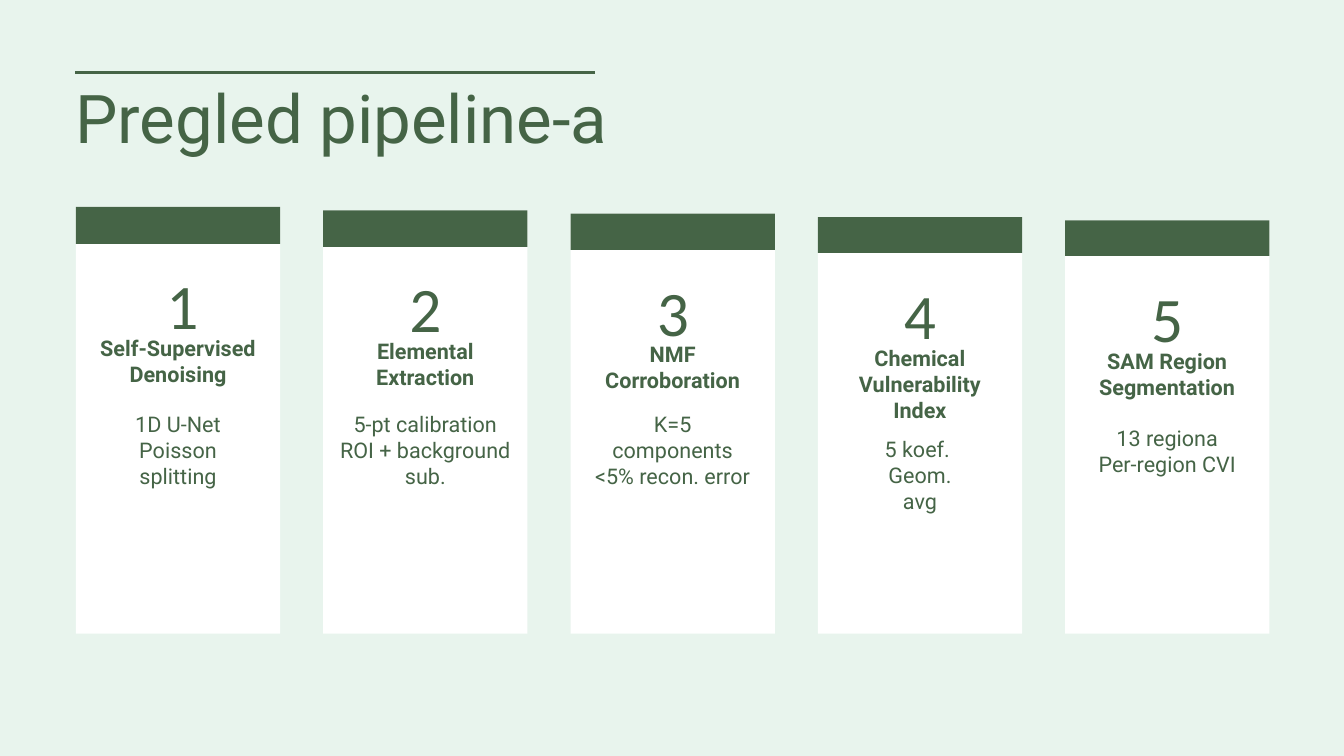
from dataclasses import dataclass

from pptx import Presentation
from pptx.dml.color import RGBColor
from pptx.enum.shapes import MSO_CONNECTOR, MSO_SHAPE
from pptx.enum.text import MSO_AUTO_SIZE, PP_ALIGN
from pptx.oxml.ns import qn
from pptx.util import Inches, Pt
from lxml.etree import SubElement


@dataclass(frozen=True)
class TextStyle:
    font: str
    size: float
    line: float
    bold: bool = False
    align: PP_ALIGN = PP_ALIGN.CENTER


@dataclass(frozen=True)
class Theme:
    background: RGBColor = RGBColor.from_string("E8F4ED")
    green: RGBColor = RGBColor.from_string("456446")
    white: RGBColor = RGBColor.from_string("FFFFFF")
    heading: TextStyle = TextStyle("Roboto", 72, 86.4, align=PP_ALIGN.LEFT)
    number: TextStyle = TextStyle("Calibri", 67.9, 95.1)
    step: TextStyle = TextStyle("Roboto", 23.1, 27.8, bold=True)
    detail: TextStyle = TextStyle("Roboto", 23.1, 27.8)


@dataclass(frozen=True)
class Step:
    title: str
    detail: str
    number_width: float
    title_width: float
    detail_width: float
    detail_top: float = 6.12


STEPS = [
    Step("Self-Supervised\nDenoising", "1D U-Net\nPoisson splitting", 0.35, 2.52, 2.33),
    Step("Elemental\nExtraction", "5-pt calibration\nROI + background sub.", 0.49, 1.58, 2.6),
    Step("NMF\nCorroboration", "K=5 components\n<5% recon. error", 0.47, 2.14, 2.39),
    Step("Chemical\nVulnerability\nIndex", "5 koef. \nGeom. avg", 0.51, 1.93, 1.51, 6.49),
    Step("SAM Region\nSegmentation", "13 regiona\nPer-region CVI", 0.5, 2.14, 2.09, 6.32),
]
CARD_LEFT, CARD_TOP, CARD_BOTTOM = 1.13, 3.08, 9.43
CARD_WIDTH, CARD_PITCH, CARD_DROP = 3.04, 3.68, 0.05
BAND_HEIGHT, BAND_SHRINK = 0.55, 0.005


class SlideBuilder:
    def __init__(self, slide, theme):
        self.slide = slide
        self.theme = theme
        fill = slide.background.fill
        fill.solid()
        fill.fore_color.rgb = theme.background

    def rule(self, left, top, right):
        line = self.slide.shapes.add_connector(
            MSO_CONNECTOR.STRAIGHT, Inches(left), Inches(top), Inches(right), Inches(top))
        line.line.color.rgb = self.theme.green
        line.line.width = Pt(3)
        SubElement(line._element.spPr, qn("a:effectLst"))

    def block(self, shapes, left, top, width, height, color):
        shape = shapes.add_shape(
            MSO_SHAPE.RECTANGLE, Inches(left), Inches(top), Inches(width), Inches(height))
        shape.shadow.inherit = False
        shape.fill.solid()
        shape.fill.fore_color.rgb = color
        shape.line.fill.background()

    def text(self, words, left, top, width, height, style):
        box = self.slide.shapes.add_textbox(
            Inches(left), Inches(top), Inches(width), Inches(height))
        frame = box.text_frame
        frame.margin_left = frame.margin_right = frame.margin_top = frame.margin_bottom = 0
        frame.word_wrap = True
        frame.auto_size = MSO_AUTO_SIZE.SHAPE_TO_FIT_TEXT
        frame.text = words
        for para in frame.paragraphs:
            para.alignment = style.align
            para.line_spacing = Pt(style.line)
            for span in para.runs:
                span.font.name = style.font
                span.font.size = Pt(style.size)
                span.font.bold = style.bold
                span.font.color.rgb = self.theme.green

    def card(self, index, step):
        """Draw one step; each card starts a little lower than the one before."""
        theme = self.theme
        left = CARD_LEFT + index * CARD_PITCH
        top = CARD_TOP + index * CARD_DROP
        center = left + CARD_WIDTH / 2
        group = self.slide.shapes.add_group_shape()
        self.block(group.shapes, left, top, CARD_WIDTH, CARD_BOTTOM - top, theme.white)
        self.block(group.shapes, left, top, CARD_WIDTH,
                   BAND_HEIGHT - index * BAND_SHRINK, theme.green)
        for words, offset_top, width, height, style in (
            (str(index + 1), top + 0.69, step.number_width, 1.28, theme.number),
            (step.title, top + 1.9, step.title_width, 1.2, theme.step),
            (step.detail, step.detail_top, step.detail_width, 1.2, theme.detail),
        ):
            self.text(words, center - width / 2, offset_top, width, height, style)


def main():
    deck = Presentation()
    deck.slide_width, deck.slide_height = Inches(20), Inches(11.25)
    theme = Theme()
    builder = SlideBuilder(deck.slides.add_slide(deck.slide_layouts[6]), theme)
    builder.rule(1.12, 1.08, 8.85)
    builder.text("Pregled pipeline-a", 1.12, 1.13, 11.17, 1.39, theme.heading)
    for index, step in enumerate(STEPS):
        builder.card(index, step)
    deck.save("out.pptx")


if __name__ == "__main__":
    main()
